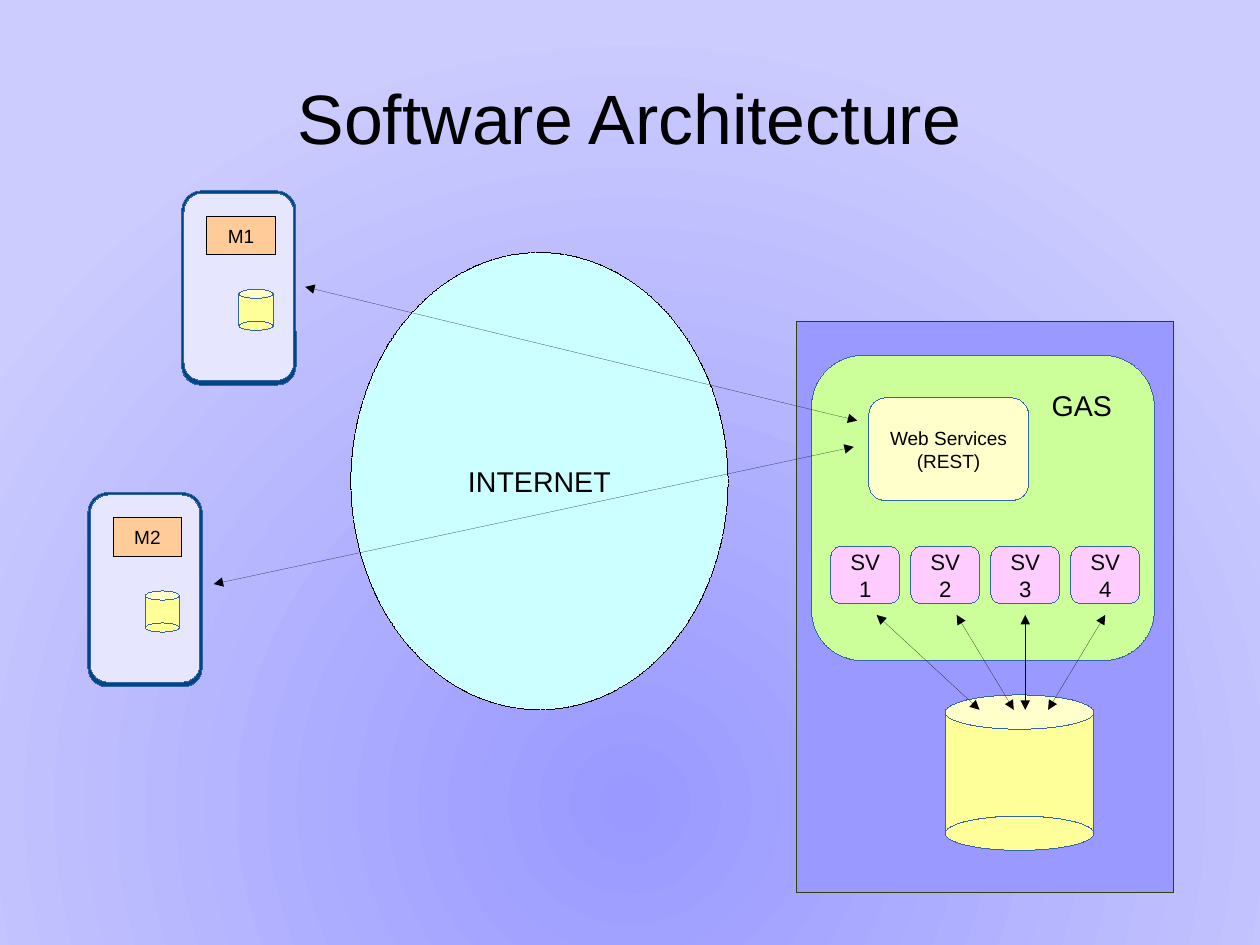
from lxml import etree
from pptx import Presentation
from pptx.dml.color import RGBColor
from pptx.enum.dml import MSO_LINE
from pptx.enum.shapes import MSO_CONNECTOR, MSO_SHAPE as Preset
from pptx.enum.text import MSO_ANCHOR as Anchor, PP_ALIGN as Align
from pptx.oxml.ns import qn
from pptx.util import Inches, Pt

BLUE, BLACK = "3465A4", "000000"
hex_color = RGBColor.from_string


def draw_shape(shapes, preset, box, fill, line=BLUE, text="", size=12):
    shape = shapes.add_shape(preset, *map(Inches, box))
    shape._element.remove(shape._element.find(qn("p:style")))
    shape.shadow.inherit = False
    shape.fill.solid()
    shape.fill.fore_color.rgb = hex_color(fill)
    shape.line.color.rgb = hex_color(line)
    shape.line.width = Pt(0)
    if text:
        shape.text_frame.word_wrap = True
        shape.text_frame.vertical_anchor = Anchor.MIDDLE
        paragraph = shape.text_frame.paragraphs[0]
        paragraph.alignment = Align.CENTER
        for index, part in enumerate(text.split("\n")):
            if index:
                paragraph.add_line_break()
            run = paragraph.add_run()
            run.text = part
            run.font.name = "Arial"
            run.font.size = Pt(size)
            run.font.color.rgb = hex_color(BLACK)
    return shape


def draw_cylinder(shapes, left, top, width, height, cap):
    body = (left, top + cap / 2, width, height - cap)
    draw_shape(shapes, Preset.RECTANGLE, body, "FFFF99")
    draw_shape(shapes, Preset.OVAL, (left, top, width, cap), "FFFFCC")
    draw_shape(shapes, Preset.OVAL, (left, top + height - cap, width, cap), "FFFF99")


presentation = Presentation()
presentation.slide_width = Inches(28 / 2.54)
presentation.slide_height = Inches(21 / 2.54)
slide = presentation.slides.add_slide(presentation.slide_layouts[6])

background = slide.background.fill
background.gradient()
for stop, color, position in zip(background.gradient_stops, ("9999FF", "CCCCFF"), (0, 1)):
    stop.color.rgb = hex_color(color)
    stop.position = position
gradient = slide.background._cSld.find(".//" + qn("a:gradFill"))
linear = gradient.find(qn("a:lin"))
radial = etree.Element(qn("a:path"), {"path": "circle"})
etree.SubElement(radial, qn("a:fillToRect"), {"l": "50000", "t": "85000", "r": "50000", "b": "15000"})
gradient.replace(linear, radial)

title = slide.shapes.add_textbox(Inches(0.55), Inches(0.33), Inches(9.92), Inches(1.38))
title_frame = title.text_frame
title_frame.word_wrap = True
title_frame.vertical_anchor = Anchor.MIDDLE
title_frame.margin_left = title_frame.margin_right = 0
title_frame.margin_top = title_frame.margin_bottom = 0
title_paragraph = title_frame.paragraphs[0]
title_paragraph.alignment = Align.CENTER
title_run = title_paragraph.add_run()
title_run.text = "Software Architecture"
title_run.font.name = "Arial"
title_run.font.size = Pt(44)
title_run.font.color.rgb = hex_color(BLACK)

draw_shape(slide.shapes, Preset.RECTANGLE, (6.97, 2.81, 3.3, 5), "9999FF", "314004")
database = slide.shapes.add_group_shape()
draw_cylinder(database.shapes, 8.27, 6.08, 1.3, 1.36, 0.3)

server = draw_shape(slide.shapes, Preset.ROUNDED_RECTANGLE, (7.1, 3.11, 3, 2.67), "CCFF99", text="GAS", size=18)
server.text_frame.vertical_anchor = Anchor.TOP
server.text_frame.margin_top = Inches(0.15)
server.text_frame.margin_right = Inches(0.24)
server.text_frame.paragraphs[0].alignment = Align.RIGHT

for index in range(4):
    box = (7.27 + 0.7 * index, 4.78, 0.6, 0.5)
    draw_shape(slide.shapes, Preset.ROUNDED_RECTANGLE, box, "FFCCFF", text=f"SV{index + 1}", size=14)

internet = draw_shape(slide.shapes, Preset.OVAL, (3.07, 2.21, 3.3, 4), "CCFFFF", BLACK, "INTERNET", 18)
internet.line.dash_style = MSO_LINE.SQUARE_DOT
draw_shape(slide.shapes, Preset.ROUNDED_RECTANGLE, (7.6, 3.48, 1.4, 0.9), "FFFFCC", text="Web Services\n(REST)")

arrows = [
    (7.67, 5.38, 8.57, 6.21),
    (8.37, 5.38, 8.87, 6.21),
    (8.97, 5.38, 8.97, 6.21),
    (9.67, 5.38, 9.17, 6.21),
    (1.87, 5.11, 7.47, 3.91),
    (2.67, 2.51, 7.5, 3.68),
]
for ends in arrows:
    arrow = slide.shapes.add_connector(MSO_CONNECTOR.STRAIGHT, *map(Inches, ends))
    arrow._element.remove(arrow._element.find(qn("p:style")))
    arrow.line.color.rgb = hex_color(BLACK)
    arrow.line.width = Pt(0)
    for end in ("a:headEnd", "a:tailEnd"):
        etree.SubElement(arrow.line._get_or_add_ln(), qn(end), {"type": "triangle"})
    etree.SubElement(arrow._element.spPr, qn("a:effectLst"))

for name, left, top in (("M1", 1.59, 1.67), ("M2", 0.77, 4.31)):
    mobile = slide.shapes.add_group_shape().shapes
    draw_shape(mobile, Preset.ROUNDED_RECTANGLE, (left, top, 1, 1.7), "004586")
    draw_shape(mobile, Preset.ROUNDED_RECTANGLE, (left + 0.02, top + 0.02, 0.96, 1.64), "E6E6FF")
    draw_shape(mobile, Preset.RECTANGLE, (left + 0.22, top + 0.22, 0.6, 0.34), "FFCC99", BLACK, name)
    draw_cylinder(mobile, left + 0.5, top + 0.86, 0.3, 0.36, 0.08)

presentation.save("out.pptx")
